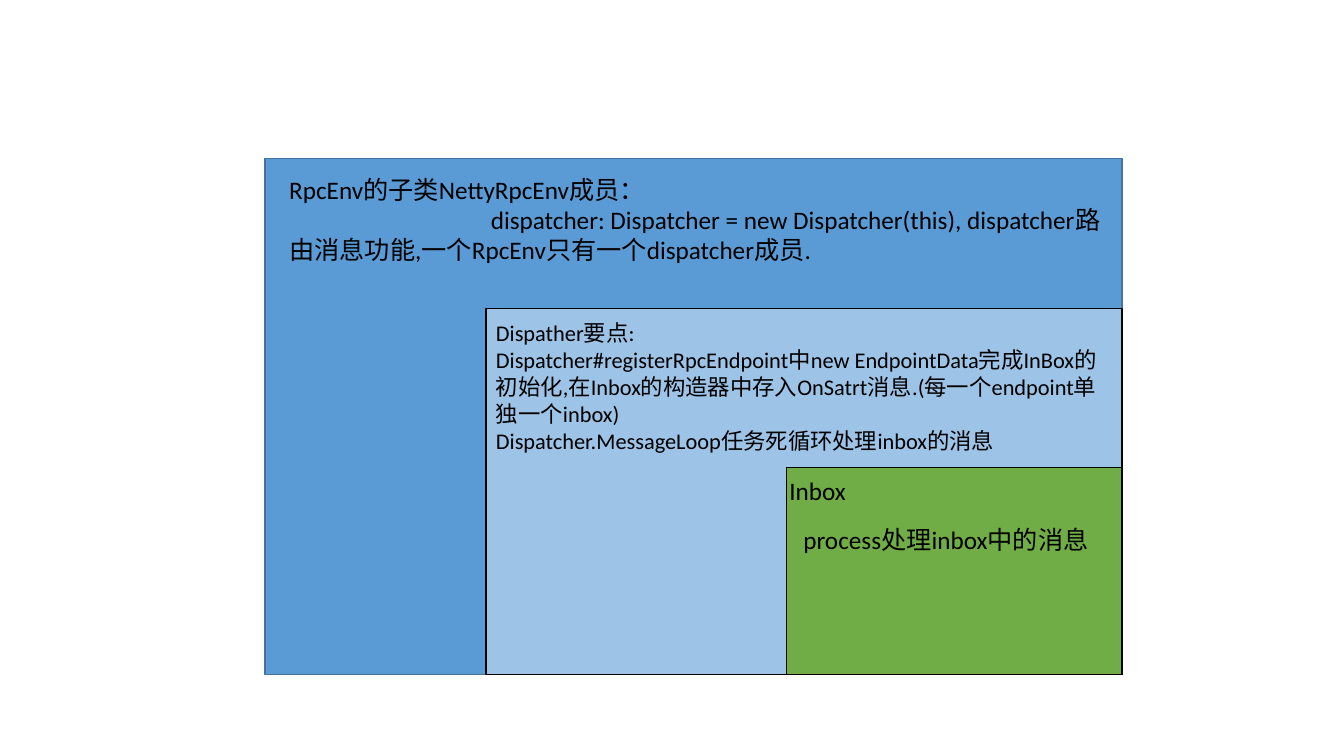
from pptx import Presentation
from pptx.dml.color import RGBColor
from pptx.enum import shapes, text
from pptx.util import Inches, Pt

COLOURS = {
    "env": "5B9BD5",
    "env_line": "43739E",
    "dispatcher": "9DC3E6",
    "inbox": "70AD47",
    "ink": "000000",
}
RIGHT, BOTTOM = 11.13, 6.69  # corner shared by the nested boxes


def colour(name):
    return RGBColor.from_string(COLOURS[name])


deck = Presentation()
deck.slide_width, deck.slide_height = Inches(13.33), Inches(7.5)
page = deck.slides.add_slide(deck.slide_layouts[6])

# Nested boxes, each with its texts: (left, top, width, height, size, wrap,
# paragraphs), where a paragraph is (first-line indent, wording)
layers = [
    ("env", "env_line", 2.63, 1.57, [
        (2.77, 1.68, 8.36, 1.31, 18, True, [
            (0, "RpcEnv的子类NettyRpcEnv成员："),
            (2, "dispatcher: Dispatcher = new Dispatcher(this), dispatcher"
                "路由消息功能,一个RpcEnv只有一个dispatcher成员."),
        ]),
    ]),
    ("dispatcher", "ink", 4.82, 3.06, [
        (4.82, 3.12, 6.31, 1.45, 16, True, [
            (0, "Dispather要点:"),
            (0, "Dispatcher#registerRpcEndpoint中new EndpointData完成InBox的初始化,"
                "在Inbox的构造器中存入OnSatrt消息.(每一个endpoint单独一个inbox)"),
            (0, "Dispatcher.MessageLoop任务死循环处理inbox的消息"),
        ]),
    ]),
    ("inbox", "ink", 7.8, 4.64, [
        (7.73, 4.67, 0.77, 0.4, 18, False, [(0, "Inbox")]),
        (7.87, 5.15, 3.06, 0.4, 18, True, [(0, "process处理inbox中的消息")]),
    ]),
]

for fill, line, left, top, notes in layers:
    # Box reaching to the shared corner
    box = page.shapes.add_shape(
        shapes.MSO_SHAPE.RECTANGLE, Inches(left), Inches(top),
        Inches(RIGHT - left), Inches(BOTTOM - top))
    box.shadow.inherit = False
    box.fill.solid()
    box.fill.fore_color.rgb = colour(fill)
    box.line.color.rgb = colour(line)
    box.line.width = Pt(1)

    # Texts on the box
    for *place, size, wrap, paragraphs in notes:
        frame = page.shapes.add_textbox(*map(Inches, place)).text_frame
        frame.word_wrap = wrap
        frame.auto_size = text.MSO_AUTO_SIZE.SHAPE_TO_FIT_TEXT
        for number, (indent, wording) in enumerate(paragraphs):
            para = frame.add_paragraph() if number else frame.paragraphs[0]
            if indent:
                para._p.get_or_add_pPr().set("indent", str(Inches(indent)))
            span = para.add_run()
            span.text = wording
            span.font.name = "Calibri"
            span.font.size = Pt(size)
            span.font.color.rgb = colour("ink")

deck.save("out.pptx")
